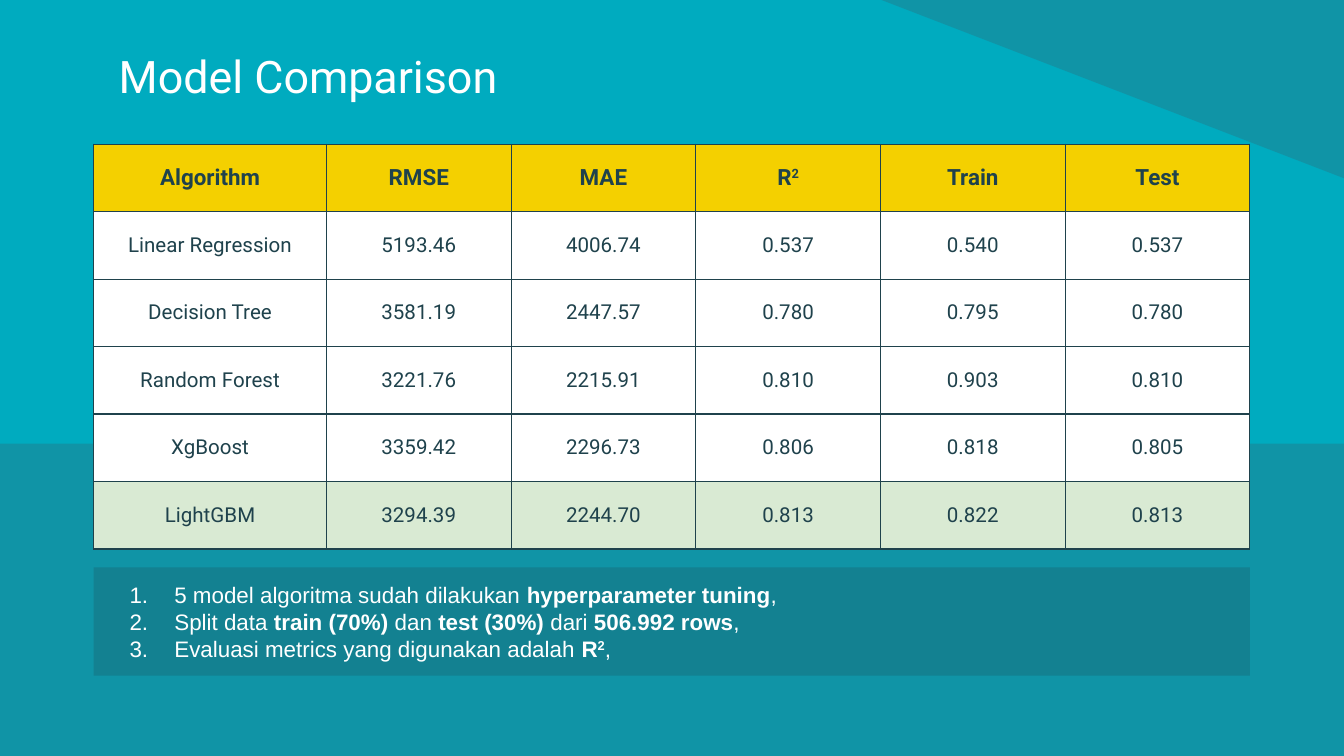
from pptx import Presentation
from pptx.dml.color import RGBColor
from pptx.enum.shapes import MSO_SHAPE
from pptx.enum.text import MSO_ANCHOR, MSO_AUTO_SIZE, PP_ALIGN
from pptx.oxml import parse_xml
from pptx.oxml.ns import nsdecls, qn
from pptx.oxml.xmlchemy import OxmlElement
from pptx.util import Pt

RECTANGLE = MSO_SHAPE.RECTANGLE
RIGHT_TRIANGLE = MSO_SHAPE.RIGHT_TRIANGLE
MIDDLE, TOP = MSO_ANCHOR.MIDDLE, MSO_ANCHOR.TOP
CENTER, LEFT = PP_ALIGN.CENTER, PP_ALIGN.LEFT
NO_AUTOFIT = MSO_AUTO_SIZE.NONE

WIDTH, HEIGHT = 720, 405
BACKGROUND, DECOR, INK = "00ABBF", "336574", "1F424C"
WHITE, YELLOW, GREEN = "FFFFFF", "F4D000", "D9EAD3"
BOLD = {"bold": True}
SUPERSCRIPT = {"bold": True, "baseline": 30000}


def rgb(value):
    return RGBColor.from_string(value)


def assign(target, values):
    for name, value in values.items():
        setattr(target, name, value)


class SlideBuilder:
    heading_font = "Roboto"
    list_font = "Arial"
    inset = 7.2

    def __init__(self, slide):
        self.slide = slide
        self.paint(slide.background, BACKGROUND)

    def paint(self, target, color, alpha=None):
        target.fill.solid()
        target.fill.fore_color.rgb = rgb(color)
        if alpha is not None:
            tint = OxmlElement("a:alpha")
            tint.set("val", str(alpha * 1000))
            target._element.spPr.find(".//" + qn("a:srgbClr")).append(tint)

    def add_runs(self, paragraph, segments, size, color, font, bold=False):
        for text, style in segments:
            run = paragraph.add_run()
            run.text = text
            assign(run.font, {"size": Pt(size), "name": font,
                              "bold": style.get("bold", bold)})
            run.font.color.rgb = rgb(color)
            if "baseline" in style:
                run._r.get_or_add_rPr().set("baseline", str(style["baseline"]))

    def decor(self, kind, left, top, width, height, rotation=0):
        shape = self.slide.shapes.add_shape(
            kind, Pt(left), Pt(top), Pt(width), Pt(height))
        shape.rotation = rotation
        shape.shadow.inherit = False
        shape.line.fill.background()
        self.paint(shape, DECOR, 32)

    def placeholder(self, index, left, top, width, height, anchor):
        holder = self.slide.placeholders[index]
        assign(holder, {"left": Pt(left), "top": Pt(top),
                        "width": Pt(width), "height": Pt(height)})
        margins = {f"margin_{side}": Pt(self.inset)
                   for side in ("left", "top", "right", "bottom")}
        assign(holder.text_frame, {**margins, "vertical_anchor": anchor,
                                   "word_wrap": True, "auto_size": NO_AUTOFIT})
        self.slide.shapes._spTree.append(holder._element)
        return holder

    def title(self, text, *place):
        heading = self.placeholder(0, *place, MIDDLE)
        paragraph = heading.text_frame.paragraphs[0]
        paragraph.alignment = LEFT
        self.add_runs(paragraph, [(text, {})], 24, WHITE, self.heading_font)

    def numbered_list(self, items, *place):
        notes = self.placeholder(1, *place, TOP)
        self.paint(notes, INK, 23)
        frame = notes.text_frame
        for number, segments in enumerate(items):
            paragraph = frame.add_paragraph() if number else frame.paragraphs[0]
            properties = paragraph._p.get_or_add_pPr()
            properties.set("marL", str(Pt(36)))
            properties.set("indent", str(Pt(-24)))
            properties.append(parse_xml(
                f'<a:buClr {nsdecls("a")}><a:srgbClr val="{WHITE}"/></a:buClr>'))
            properties.append(parse_xml(
                f'<a:buFont {nsdecls("a")} typeface="{self.list_font}"/>'))
            properties.append(parse_xml(
                f'<a:buAutoNum {nsdecls("a")} type="arabicPeriod"/>'))
            assign(paragraph, {"alignment": LEFT, "space_before": Pt(0),
                               "line_spacing": 1.0})
            self.add_runs(paragraph, segments, 12, WHITE, self.list_font)

    def cell(self, cell, segments, size, bold, fill):
        properties = cell._tc.get_or_add_tcPr()
        for side in "LRTB":
            properties.append(parse_xml(
                f'<a:ln{side} {nsdecls("a")} w="{Pt(0.75)}"><a:solidFill>'
                f'<a:srgbClr val="{INK}"/></a:solidFill></a:ln{side}>'))
        self.paint(cell, fill)
        cell.vertical_anchor = MIDDLE
        paragraph = cell.text_frame.paragraphs[0]
        paragraph.alignment = CENTER
        self.add_runs(paragraph, segments, size, INK, self.heading_font, bold)

    def table(self, header, rows, left, top, column_widths, row_height):
        lines = [header] + [[[(text, {})] for text in row] for row in rows]
        fills = [YELLOW] + [WHITE] * (len(rows) - 1) + [GREEN]
        grid = self.slide.shapes.add_table(
            len(lines), len(header), Pt(left), Pt(top),
            Pt(sum(column_widths)), Pt(row_height * len(lines))).table
        grid.horz_banding = False
        for column, width in zip(grid.columns, column_widths):
            column.width = Pt(width)
        for index, (line, fill) in enumerate(zip(lines, fills)):
            grid.rows[index].height = Pt(row_height)
            is_header = index == 0
            for column, segments in enumerate(line):
                self.cell(grid.cell(index, column), segments,
                          12 if is_header else 11, is_header, fill)


def main():
    deck = Presentation()
    assign(deck, {"slide_width": Pt(WIDTH), "slide_height": Pt(HEIGHT)})
    builder = SlideBuilder(deck.slides.add_slide(deck.slide_layouts[1]))

    builder.decor(RECTANGLE, 0, 237.75, WIDTH, HEIGHT - 237.75)
    builder.decor(RIGHT_TRIANGLE, 472.25, 0, WIDTH - 472.25, 95.5, 180)
    builder.title("Model Comparison", 56.4, 17.5, 607.5, 45.5)

    header = [[("Algorithm", {})], [("RMSE", {})], [("MAE", {})],
              [("R", {}), ("2", SUPERSCRIPT)], [("Train", {})], [("Test", {})]]
    scores = [
        ("Linear Regression", "5193.46", "4006.74", "0.537", "0.540", "0.537"),
        ("Decision Tree", "3581.19", "2447.57", "0.780", "0.795", "0.780"),
        ("Random Forest", "3221.76", "2215.91", "0.810", "0.903", "0.810"),
        ("XgBoost", "3359.42", "2296.73", "0.806", "0.818", "0.805"),
        ("LightGBM", "3294.39", "2244.70", "0.813", "0.822", "0.813"),
    ]
    builder.table(header, scores, 50.2, 77.25, [124.7] + [98.95] * 5, 36.15)

    builder.numbered_list([
        [("5 model algoritma sudah dilakukan ", {}),
         ("hyperparameter tuning", BOLD), (",", {})],
        [("Split data ", {}), ("train (70%)", BOLD), (" dan ", {}),
         ("test (30%)", BOLD), (" dari ", {}), ("506.992 rows", BOLD), (",", {})],
        [("Evaluasi metrics yang digunakan adalah ", {}),
         ("R", BOLD), ("2", SUPERSCRIPT), (",", {})],
    ], 50.2, 304, 619.45, 58)

    deck.save("out.pptx")


if __name__ == "__main__":
    main()
